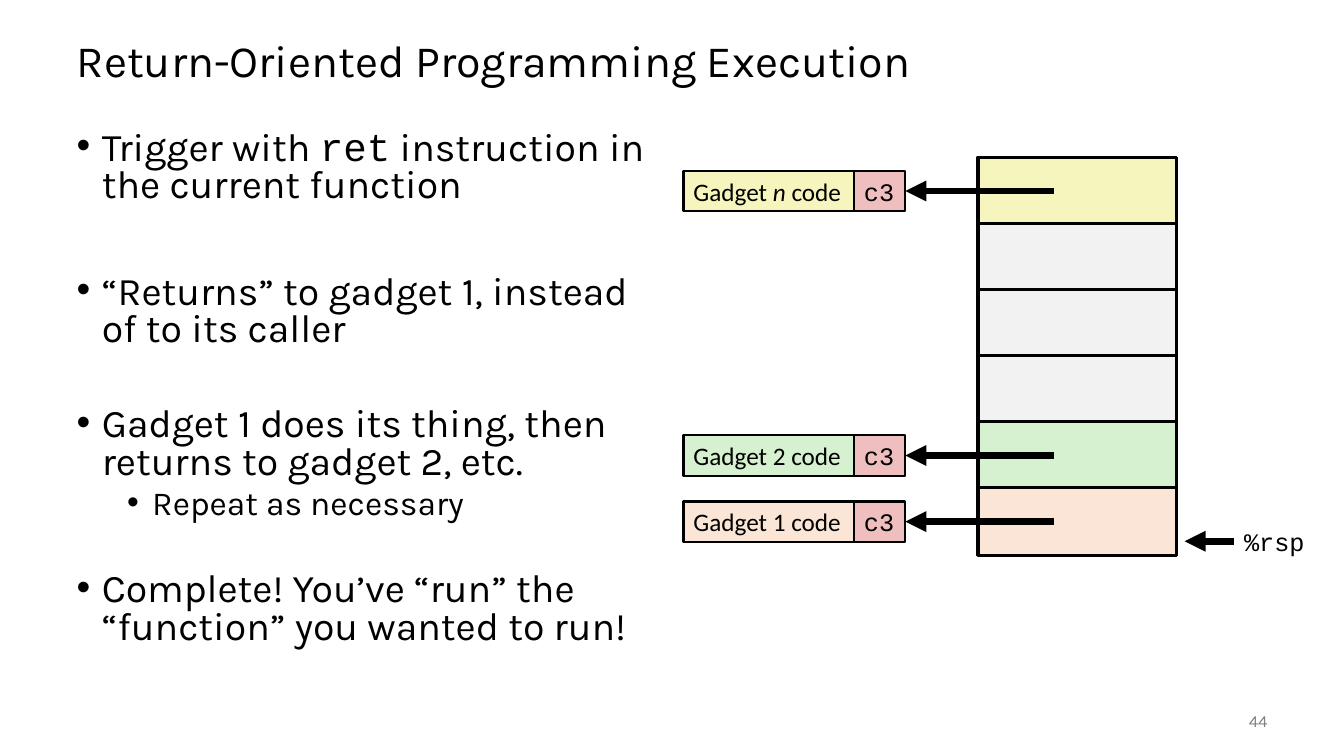
from lxml import etree
from pptx import Presentation
from pptx.dml.color import RGBColor
from pptx.enum import shapes, text
from pptx.oxml import ns
from pptx.util import Inches, Pt

BLACK, GREY = "000000", "808080"
YELLOW, GREEN, ORANGE = "F6F5BD", "D5F1CF", "FBE5D6"
EMPTY, RET_PINK = "F2F2F2", "EFBFBF"
CELL_HEIGHT, CELL_PITCH = 0.67, 0.656
CODE_HEIGHT, CODE_WIDTH, RET_WIDTH = 0.4, 1.7, 0.51

# Each bullet: level, size, space before, runs of (text, font)
BULLETS = [
    (0, 28, 0, [("Trigger with ", "Karla"), ("ret", "Courier New"),
                (" instruction in the current function", "Karla")]),
    (0, 28, 49, [("“Returns” to gadget 1, instead of to its caller", "Karla")]),
    (0, 28, 41, [("Gadget 1 does its thing, then returns to gadget 2, etc.", "Karla")]),
    (1, 24, 5, [("Repeat as necessary", "Karla")]),
    (0, 28, 36, [("Complete! You’ve “run” the “function” you wanted to run!", "Karla")]),
]

# Stack from top to bottom: colour, name of the gadget it points to
STACK = [(YELLOW, "n"), (EMPTY, None), (EMPTY, None), (EMPTY, None),
         (GREEN, "2"), (ORANGE, "1")]


def rgb(hex_colour):
    return RGBColor.from_string(hex_colour)


def set_font(font, name, size, colour=BLACK):
    font.name, font.size = name, Pt(size)
    font.color.rgb = rgb(colour)


def place(shape, left, top, width, height):
    shape.left, shape.top = Inches(left), Inches(top)
    shape.width, shape.height = Inches(width), Inches(height)


def add_title(slide, left, top, width, height):
    title = slide.shapes.title
    place(title, left, top, width, height)
    frame = title.text_frame
    frame.text = "Return-Oriented Programming Execution"
    frame.auto_size = text.MSO_AUTO_SIZE.NONE
    frame.vertical_anchor = text.MSO_ANCHOR.MIDDLE
    heading = frame.paragraphs[0]
    heading.alignment = text.PP_ALIGN.LEFT
    heading.line_spacing = 0.9
    set_font(heading.font, "Karla", 32)


def add_bullets(slide, left, top, width, height):
    body = slide.placeholders[1]
    place(body, left, top, width, height)
    frame = body.text_frame
    frame.auto_size = text.MSO_AUTO_SIZE.NONE
    for index, (level, size, space, runs) in enumerate(BULLETS):
        bullet = frame.add_paragraph() if index else frame.paragraphs[0]
        bullet.level = level
        bullet.line_spacing, bullet.space_before = 0.8, Pt(space)
        properties = bullet._p.get_or_add_pPr()
        properties.set("marL", str(Inches(0.25 + 0.5 * level)))
        properties.set("indent", str(Inches(-0.25)))
        etree.SubElement(properties, ns.qn("a:buFont")).set("typeface", "Arial")
        etree.SubElement(properties, ns.qn("a:buChar")).set("char", "•")
        set_font(bullet.font, "Karla", size)
        for words, font_name in runs:
            run = bullet.add_run()
            run.text = words
            if font_name != "Karla":
                run.font.name = font_name


def add_box(slide, left, top, width, height, fill, line_width):
    box = slide.shapes.add_shape(shapes.MSO_SHAPE.RECTANGLE, Inches(left),
                                 Inches(top), Inches(width), Inches(height))
    box.shadow.inherit = False
    box.fill.solid()
    box.fill.fore_color.rgb = rgb(fill)
    box.line.color.rgb = rgb(BLACK)
    box.line.width = Pt(line_width)
    return box


def add_code_box(slide, left, top, width, fill, words, font_name):
    """Box with one line of text; the words are given as a list of runs."""
    box = add_box(slide, left, top, width, CODE_HEIGHT, fill, 1.5)
    box.text_frame.word_wrap = False
    label = box.text_frame.paragraphs[0]
    label.alignment = text.PP_ALIGN.LEFT
    set_font(label.font, font_name, 18)
    for word in words:
        run = label.add_run()
        run.text = word
        if word == "n":
            run.font.italic = True
    return box


def add_arrow(slide, start_x, end_x, y):
    arrow = slide.shapes.add_connector(shapes.MSO_CONNECTOR.STRAIGHT, Inches(start_x),
                                       Inches(y), Inches(end_x), Inches(y))
    arrow.line.color.rgb = rgb(BLACK)
    arrow.line.width = Pt(5)
    head = etree.SubElement(arrow.line._get_or_add_ln(), ns.qn("a:tailEnd"))
    head.set("type", "triangle")
    etree.SubElement(arrow._element.spPr, ns.qn("a:effectLst"))
    return arrow


def add_gadget(slide, left, middle, fill, name, arrow_start):
    """Gadget code ending in c3, with the arrow that leads to it from the stack."""
    top = middle - CODE_HEIGHT / 2
    add_code_box(slide, left, top, CODE_WIDTH, fill, ["Gadget ", name, " code"], "Calibri")
    ret = add_code_box(slide, left + CODE_WIDTH - 0.01, top, RET_WIDTH, RET_PINK,
                       ["c3"], "Courier New")
    arrow = add_arrow(slide, arrow_start, left + CODE_WIDTH + RET_WIDTH, middle)
    arrow.end_connect(ret, 3)


def add_stack(slide, left, top, width, gadget_left):
    for row, (fill, _) in enumerate(STACK):
        add_box(slide, left, top + row * CELL_PITCH, width, CELL_HEIGHT, fill, 2.25)
    for row, (fill, gadget) in enumerate(STACK):
        if gadget:
            middle = top + row * CELL_PITCH + CELL_HEIGHT / 2
            add_gadget(slide, gadget_left, middle, fill, gadget, left + 0.75)


def add_label(slide, left, top, width, height, words, font_name, size, colour):
    box = slide.shapes.add_textbox(Inches(left), Inches(top), Inches(width), Inches(height))
    label = box.text_frame.paragraphs[0]
    label.text = words
    set_font(label.font, font_name, size, colour)
    return box.text_frame


def add_stack_pointer(slide, left, top):
    add_arrow(slide, left + 0.49, left, top + 0.2)
    pointer = add_label(slide, left + 0.49, top, 0.81, 0.4, "%rsp", "Courier New", 18, BLACK)
    pointer.word_wrap = False


def add_page_number(slide, left, top, width, height):
    number = add_label(slide, left, top, width, height, "44", "Karla", 12, GREY)
    number.word_wrap = True
    number.vertical_anchor = text.MSO_ANCHOR.MIDDLE
    number.paragraphs[0].alignment = text.PP_ALIGN.RIGHT


def main():
    deck = Presentation()
    deck.slide_width, deck.slide_height = Inches(13.33), Inches(7.5)
    slide = deck.slides.add_slide(deck.slide_layouts[1])
    add_title(slide, 0.66, 0.25, 12, 0.75)
    add_bullets(slide, 0.66, 1.25, 5.89, 5.5)
    add_stack(slide, 9.7, 1.56, 1.97, gadget_left=6.78)
    add_stack_pointer(slide, 11.75, 5.17)
    add_page_number(slide, 11.67, 6.95, 1, 0.4)
    deck.save("out.pptx")


if __name__ == "__main__":
    main()
